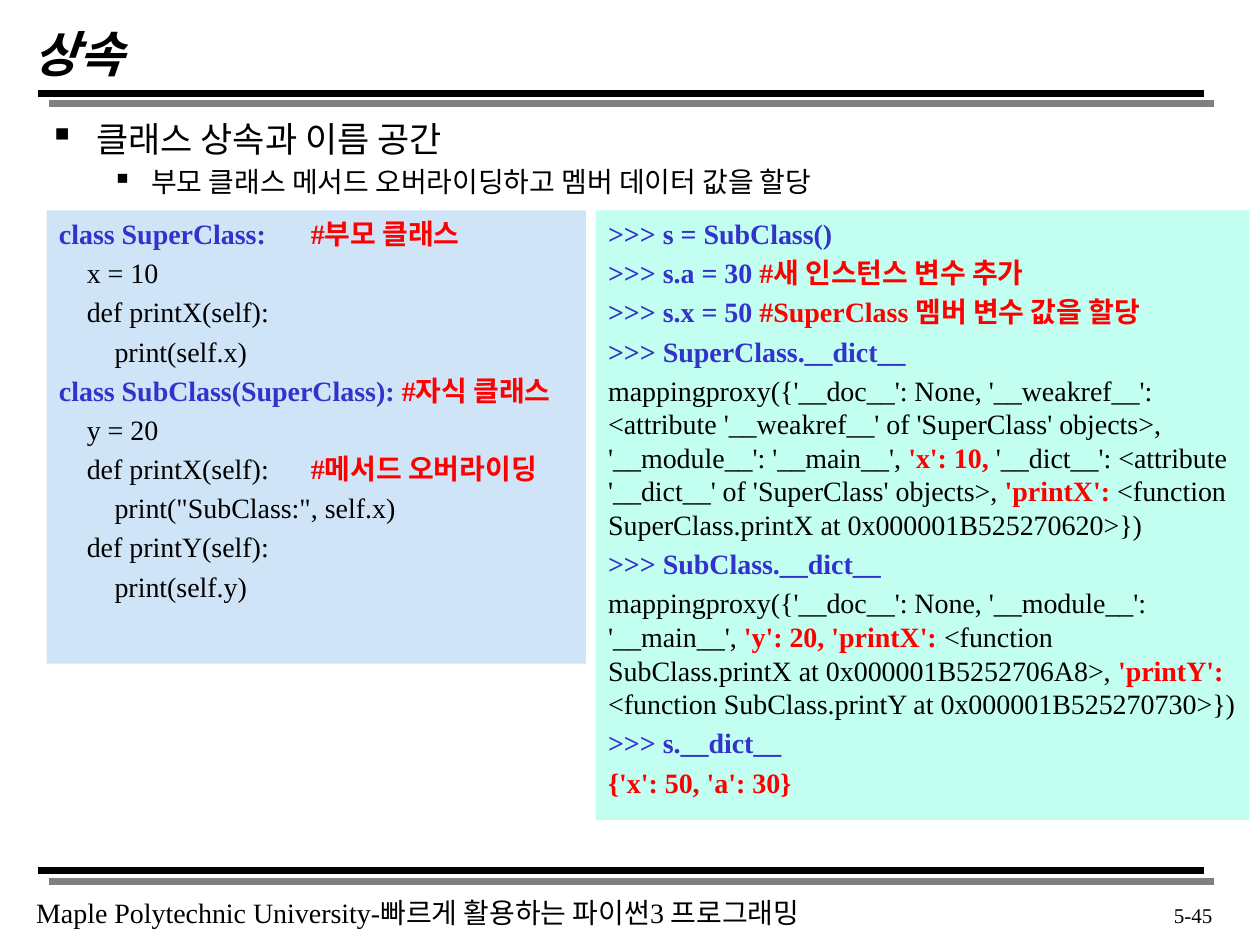
from dataclasses import dataclass

from lxml.etree import SubElement
from pptx import Presentation
from pptx.dml.color import RGBColor
from pptx.enum.shapes import MSO_CONNECTOR as Conn, MSO_SHAPE as Shape
from pptx.enum.text import MSO_ANCHOR as Anchor, PP_ALIGN as Align
from pptx.oxml.ns import qn
from pptx.util import Cm, Pt

BLACK = RGBColor(0x00, 0x00, 0x00)
RED = RGBColor(0xFF, 0x00, 0x00)
INDIGO = RGBColor(0x33, 0x33, 0xCC)
PALE_BLUE = RGBColor(0xCF, 0xE4, 0xF6)
PALE_MINT = RGBColor(0xC2, 0xFF, 0xF0)
FONT = "Times New Roman"

# Run styles for the code listings
PLAIN = {"bold": False, "color": BLACK}
KEY = {"bold": True, "color": INDIGO}
NOTE = {"bold": True, "color": RED}


@dataclass
class Para:
    runs: list  # (text, style) pairs
    size: float = 16
    depth: int = 0  # code indentation steps
    tab: float = 0  # tab stop in cm
    bullet: tuple = ()  # left margin and hanging indent in cm
    spaced: bool = True
    align: Align = Align.LEFT


@dataclass
class Box:
    left: float
    top: float
    width: float
    height: float
    paras: list
    fill: RGBColor = None
    wrap: bool = True
    anchor: Anchor = Anchor.TOP


def code(text: str, style: dict = PLAIN, note: str = "", **layout) -> Para:
    """One code line, with an optional red comment."""
    return Para([(text, style)] + ([(note, NOTE)] if note else []), **layout)


def fill_para(p, para: Para) -> None:
    p.alignment = para.align
    if para.spaced:
        p.space_before = Pt(para.size * 0.2)
    ppr = p._p.get_or_add_pPr()
    if para.depth:
        ppr.set("indent", str(Cm(0.56 * para.depth)))
    if para.bullet:
        left, hang = para.bullet
        ppr.set("marL", str(Cm(left)))
        ppr.set("indent", str(Cm(-hang)))
        SubElement(ppr, qn("a:buChar"), char="▪")
    if para.tab:
        tabs = SubElement(ppr, qn("a:tabLst"))
        SubElement(tabs, qn("a:tab"), pos=str(Cm(para.tab)), algn="l")
    for text, style in para.runs:
        r = p.add_run()
        r.text = text
        fmt = {"name": FONT, "size": Pt(para.size), **style}
        r.font.color.rgb = fmt.pop("color")
        for name, value in fmt.items():
            setattr(r.font, name, value)


def add_box(s, box: Box) -> None:
    place = [Cm(v) for v in (box.left, box.top, box.width, box.height)]
    if box.fill is None:
        sp = s.shapes.add_textbox(*place)
    else:
        sp = s.shapes.add_shape(Shape.RECTANGLE, *place)
        sp.shadow.inherit = False
        sp.fill.solid()
        sp.fill.fore_color.rgb = box.fill
        sp.line.fill.background()
    tf = sp.text_frame
    for name, value in {"word_wrap": box.wrap, "vertical_anchor": box.anchor}.items():
        setattr(tf, name, value)
    for i, para in enumerate(box.paras):
        fill_para(tf.add_paragraph() if i else tf.paragraphs[0], para)


def add_rule(s, left: float, right: float, y: float) -> None:
    """Thick black line with a hard grey shadow below right."""
    line = s.shapes.add_connector(Conn.STRAIGHT, Cm(left), Cm(y), Cm(right), Cm(y))
    line.line.color.rgb = BLACK
    line.line.width = Pt(4)
    effects = SubElement(line._element.spPr, qn("a:effectLst"))
    shadow = SubElement(effects, qn("a:outerShdw"), dist=str(Pt(8.5)),
                        dir="2700000", algn="ctr", rotWithShape="0")
    SubElement(shadow, qn("a:srgbClr"), val="808080")


CLASSES = [
    code("class SuperClass: \t", KEY, "#부모 클래스"),
    code("x = 10", depth=1),
    code("def printX(self):", depth=1),
    code("print(self.x)", depth=2),
    code("class SubClass(SuperClass): ", KEY, "#자식 클래스"),
    code("y = 20", depth=1),
    code("def printX(self):\t", note="#메서드 오버라이딩", depth=1, tab=4.65),
    code('print("SubClass:", self.x)', depth=2),
    code("def printY(self):", depth=1),
    code("print(self.y)", depth=2),
]

SESSION = [
    code(">>> s = SubClass()", KEY),
    code(">>> s.a = 30 ", KEY, "#새 인스턴스 변수 추가"),
    code(">>> s.x = 50 ", KEY, "#SuperClass 멤버 변수 값을 할당"),
    code(">>> SuperClass.__dict__", KEY),
    Para([
        ("mappingproxy({'__doc__': None, '__weakref__': <attribute '__weakref__' "
         "of 'SuperClass' objects>, '__module__': '__main__', ", PLAIN),
        ("'x': 10, ", NOTE),
        ("'__dict__': <attribute '__dict__' of 'SuperClass' objects>, ", PLAIN),
        ("'printX': ", NOTE),
        ("<function SuperClass.printX at 0x000001B525270620>})", PLAIN),
    ]),
    code(">>> SubClass.__dict__", KEY),
    Para([
        ("mappingproxy({'__doc__': None, '__module__': '__main__', ", PLAIN),
        ("'y': 20, 'printX': ", NOTE),
        ("<function SubClass.printX at 0x000001B5252706A8>, ", PLAIN),
        ("'printY': ", NOTE),
        ("<function SubClass.printY at 0x000001B525270730>})", PLAIN),
    ]),
    code(">>> s.__dict__", KEY),
    code("{'x': 50, 'a': 30}", NOTE),
]

BOXES = [
    # Footer
    Box(0.48, 17.93, 16.76, 0.94, [
        Para([("Maple Polytechnic University-빠르게 활용하는 파이썬3 프로그래밍", PLAIN)],
             spaced=False)], wrap=False),
    # Title
    Box(0.43, 0.43, 21.59, 1.27, [
        Para([("상속", {**PLAIN, "bold": True, "italic": True})], 28, spaced=False)],
        anchor=Anchor.MIDDLE),
    # Bullets
    Box(0.74, 2.24, 23.83, 1.9, [
        Para([("클래스 상속과 이름 공간", PLAIN)], 20, bullet=(0.95, 0.95)),
        Para([("부모 클래스 메서드 오버라이딩하고 멤버 데이터 값을 할당", PLAIN)],
             bullet=(2.06, 0.79))]),
    # Page number
    Box(22.58, 18.06, 2.11, 0.81, [
        Para([("5-45", PLAIN)], 12, spaced=False, align=Align.RIGHT)]),
    # Code listings
    Box(0.94, 4.24, 10.87, 9.14, CLASSES, PALE_BLUE),
    Box(12.01, 4.24, 13.18, 12.29, SESSION, PALE_MINT),
]


def main() -> None:
    prs = Presentation()
    prs.slide_width, prs.slide_height = Cm(25.4), Cm(19.05)
    s = prs.slides.add_slide(prs.slide_layouts[6])

    # Double rules under the title and above the footer
    for y in (1.88, 17.55):
        for left in (2.67, 0.77):
            add_rule(s, left, 24.27, y)

    for box in BOXES:
        add_box(s, box)
    prs.save("out.pptx")


if __name__ == "__main__":
    main()
